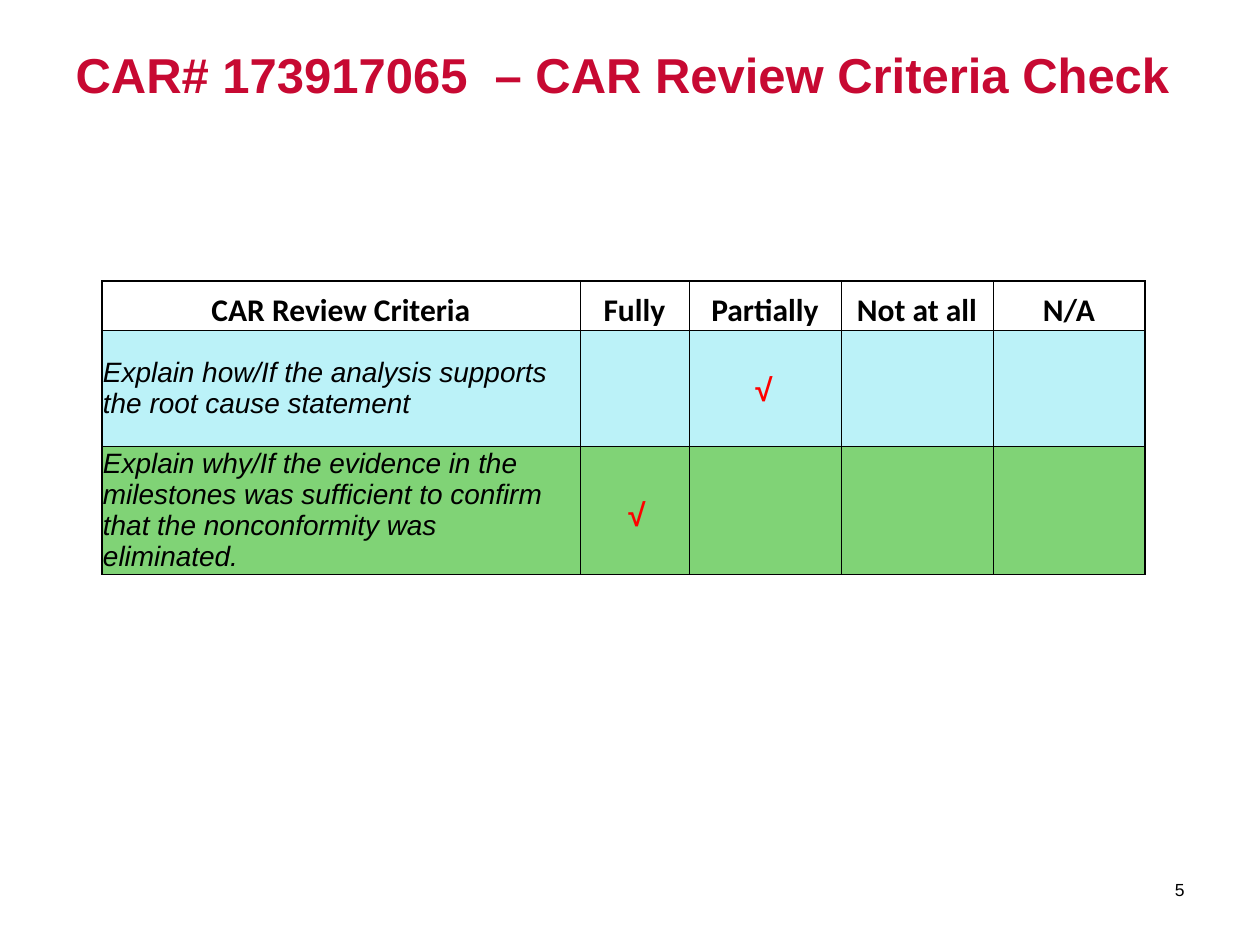
import pptx
import pptx.util
import pptx.dml.color
import pptx.enum.text
import pptx.oxml.ns
import lxml.etree
from dataclasses import dataclass

ALIGN = pptx.enum.text.PP_ALIGN
ANCHOR = pptx.enum.text.MSO_ANCHOR
SCALE = 914400 / 126  # EMU per px


@dataclass(frozen=True)
class Theme:
    title: str = "C70932"
    ink: str = "000000"
    check: str = "FF0000"
    header_fill: str = "FFFFFF"
    blue_fill: str = "BBF2F8"
    green_fill: str = "80D376"
    font: str = "Arial"
    header_font: str = "Calibri"
    title_size: int = 28
    header_size: int = 18
    body_size: int = 16
    number_size: int = 10


theme = Theme()


def px(length):
    return pptx.util.Emu(round(length * SCALE))


def write(frame, text, size, color=theme.ink, font=theme.font, bold=False,
          italic=False, align=ALIGN.LEFT, anchor=ANCHOR.TOP):
    frame.word_wrap = True
    frame.vertical_anchor = anchor
    para = frame.paragraphs[0]
    para.alignment = align
    span = para.add_run()
    span.text = text
    span.font.name = font
    span.font.size = pptx.util.Pt(size)
    span.font.bold = bold
    span.font.italic = italic
    span.font.color.rgb = pptx.dml.color.RGBColor.from_string(color)


deck = pptx.Presentation()
deck.slide_width, deck.slide_height = px(1260), px(945)
page = deck.slides.add_slide(deck.slide_layouts[5])

# Title
title = page.shapes.title
title.left, title.top, title.width, title.height = px(63), px(38), px(1134), px(158)
title.text_frame.auto_size = pptx.enum.text.MSO_AUTO_SIZE.NONE
write(title.text_frame, "CAR# 173917065  – CAR Review Criteria Check",
      size=theme.title_size, color=theme.title, bold=True)

# Criteria table
headers = ["CAR Review Criteria", "Fully", "Partially", "Not at all", "N/A"]
rows = [
    (headers, theme.header_fill),
    (["Explain how/If the analysis supports the root cause statement"],
     theme.blue_fill),
    (["Explain why/If the evidence in the milestones was sufficient to confirm "
      "that the nonconformity was eliminated."], theme.green_fill),
]
widths = [478, 109, 152, 152, 152]
heights = [49, 116, 128]
table = page.shapes.add_table(len(rows), len(widths), px(102), px(281),
                              px(sum(widths)), px(sum(heights))).table
table.first_row = False
table.horz_banding = False
for column, width in zip(table.columns, widths):
    column.width = px(width)

header_format = dict(size=theme.header_size, font=theme.header_font, bold=True,
                     align=ALIGN.CENTER)
body_format = dict(size=theme.body_size, italic=True)
last_column = len(widths) - 1
for r, (texts, fill) in enumerate(rows):
    table.rows[r].height = px(heights[r])
    for c in range(len(widths)):
        cell = table.cell(r, c)
        cell.margin_left = cell.margin_right = cell.margin_top = px(1)
        cell.margin_bottom = 0
        cell.vertical_anchor = ANCHOR.MIDDLE if r else ANCHOR.BOTTOM
        if c < len(texts):
            write(cell.text_frame, texts[c], anchor=None,
                  **(body_format if r else header_format))

        # Thin grid, with a heavier line at the left, right and top edges
        heavy = {"L": c == 0, "R": c == last_column, "T": r == 0, "B": False}
        properties = cell._tc.get_or_add_tcPr()
        for side, is_heavy in heavy.items():
            line = lxml.etree.SubElement(
                properties, pptx.oxml.ns.qn("a:ln" + side),
                w=str(pptx.util.Pt(1 if is_heavy else 0.5)))
            paint = lxml.etree.SubElement(line, pptx.oxml.ns.qn("a:solidFill"))
            lxml.etree.SubElement(paint, pptx.oxml.ns.qn("a:srgbClr"), val=theme.ink)
        cell.fill.solid()
        cell.fill.fore_color.rgb = pptx.dml.color.RGBColor.from_string(fill)

# Check marks
for left, top in [(743, 364), (616, 489)]:
    box = page.shapes.add_textbox(px(left), px(top), px(58), px(50))
    write(box.text_frame, "√", size=theme.header_size, color=theme.check, bold=True)

# Page number
box = page.shapes.add_textbox(px(1109), px(865), px(88), px(50))
write(box.text_frame, "5", size=theme.number_size, align=ALIGN.RIGHT,
      anchor=ANCHOR.MIDDLE)

deck.save("out.pptx")
